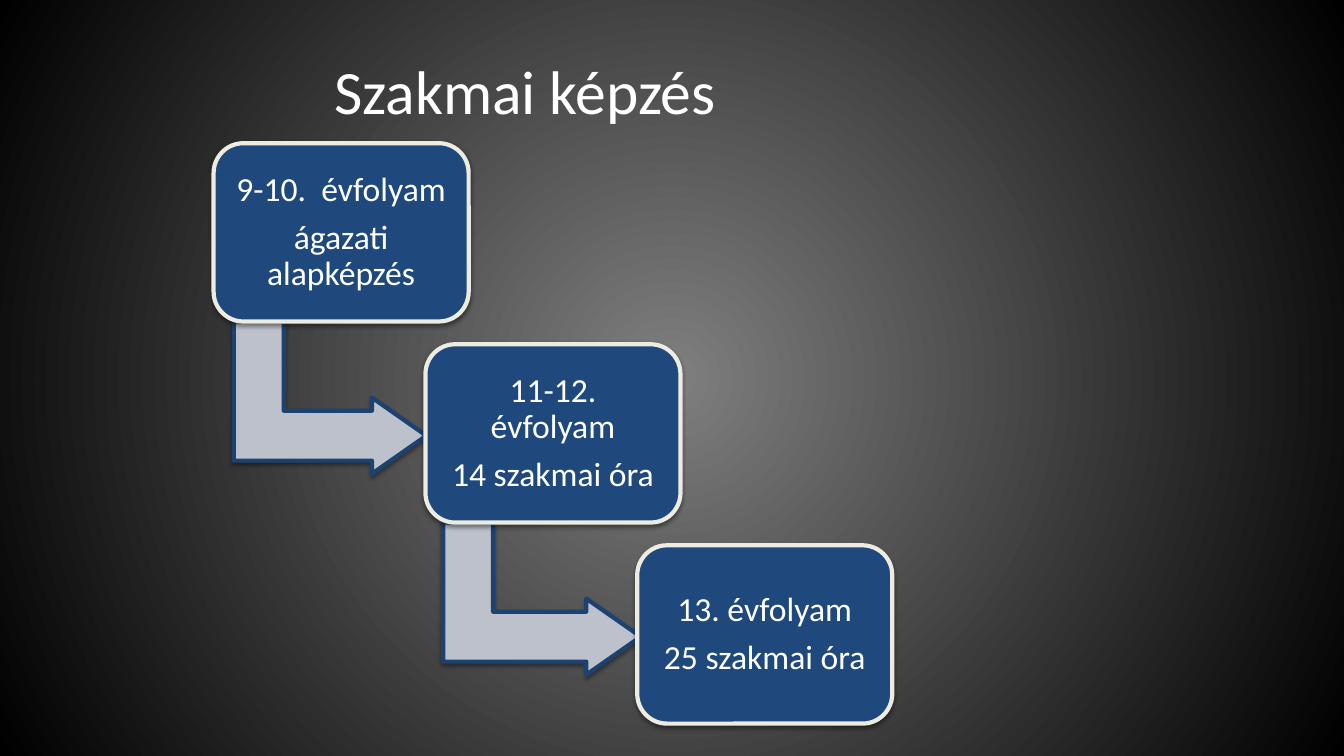
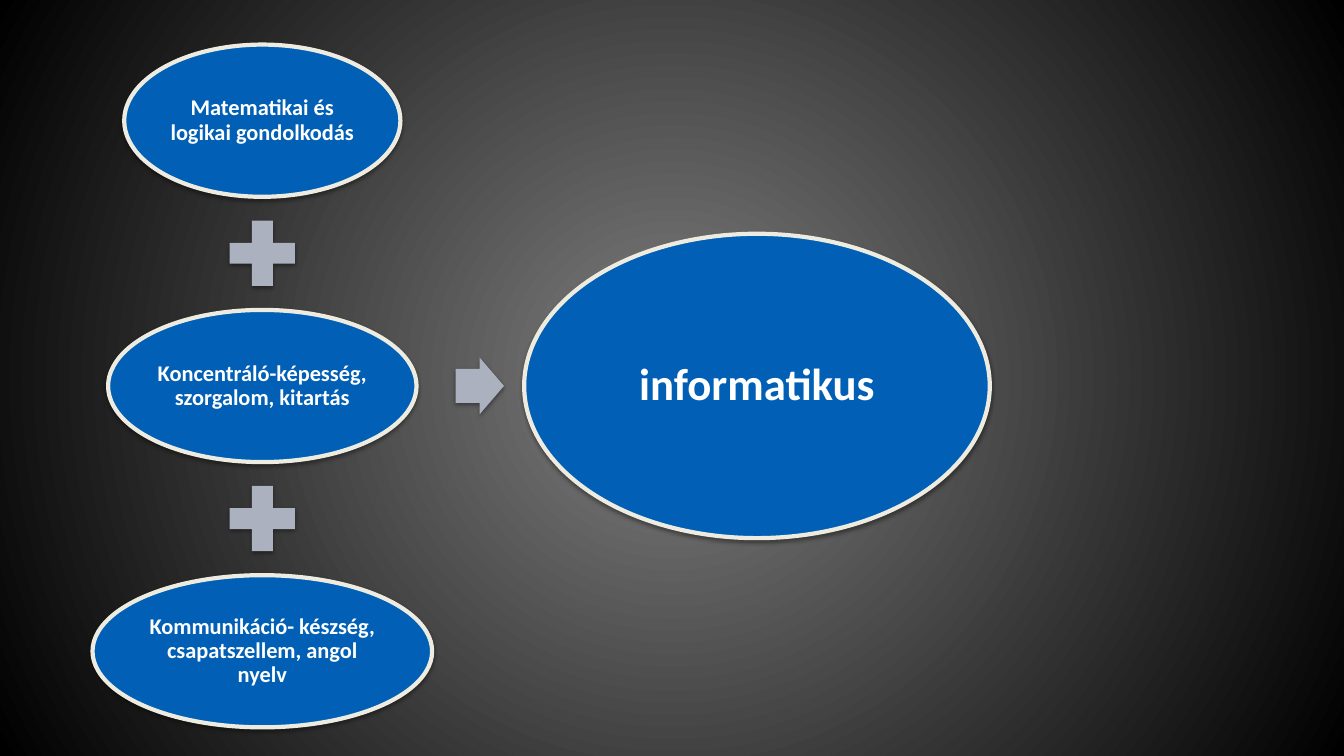
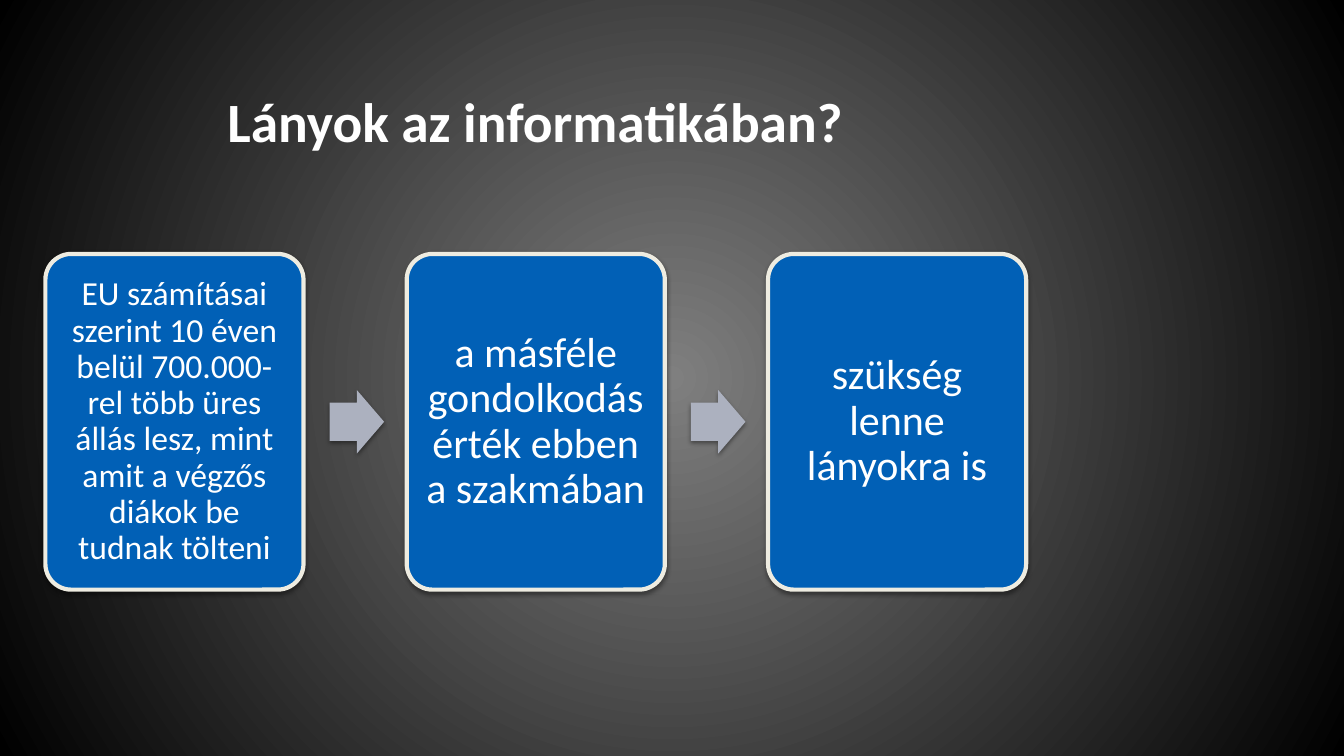
from lxml import etree
from pptx import Presentation
from pptx import util as u
from pptx.dml import color
from pptx.enum import shapes, text
from pptx.oxml import ns

FONT = "Calibri"
COLORS = {
    "glow": "7F7F7F",
    "edge": "000000",
    "white": "FFFFFF",
    "navy": "1F497D",
    "blue": "0160B6",
    "cream": "EEECE1",
    "step": "BDC1CC",
    "step_line": "1C4271",
    "sign": "ACB1BF",
}
LINE_WIDTH = 3
KIND = shapes.MSO_SHAPE


def rgb(name):
    return color.RGBColor.from_string(COLORS[name])


def add_child(parent, tag, **attributes):
    child = etree.SubElement(parent, ns.qn(tag))
    for key, value in attributes.items():
        child.set(key, str(value))
    return child


def set_radial_background(master):
    """Give every slide a gradient that darkens from the centre outwards."""
    fill = master.background.fill
    fill.gradient()
    for stop, name, position in zip(fill.gradient_stops, ("glow", "edge"), (0, 1)):
        stop.color.rgb = rgb(name)
        stop.position = position
    linear = next(master.element.iter(ns.qn("a:lin")))
    gradient = linear.getparent()
    gradient.remove(linear)
    circle = add_child(gradient, "a:path", path="circle")
    add_child(circle, "a:fillToRect", l=50000, t=50000, r=50000, b=50000)


def write(box, *lines, size, bold=False, spacing=0.9, margins=None):
    """Fill a box with centred white paragraphs."""
    frame = box.text_frame
    frame.word_wrap = True
    frame.vertical_anchor = text.MSO_ANCHOR.MIDDLE
    if margins is not None:
        frame.margin_left = frame.margin_right = u.Pt(margins)
        frame.margin_top = frame.margin_bottom = u.Pt(margins)
    for index, line in enumerate(lines):
        para = frame.add_paragraph() if index else frame.paragraphs[0]
        para.alignment = text.PP_ALIGN.CENTER
        para.line_spacing = spacing
        if index:
            para.space_before = u.Pt(0.35 * size)
        span = para.add_run()
        span.text = line
        span.font.name = FONT
        span.font.size = u.Pt(size)
        span.font.bold = bold
        span.font.color.rgb = rgb("white")


def add_title(page, line, left, top, height, **style):
    box = page.shapes.add_textbox(u.Pt(left), u.Pt(top), u.Pt(584.6), u.Pt(height))
    write(box, line, spacing=1, **style)


def add_soft_shadow(shape):
    shape.shadow.inherit = False
    effects = shape.element.spPr.find(ns.qn("a:effectLst"))
    shadow = add_child(effects, "a:outerShdw", blurRad=u.Pt(3.1), dist=u.Pt(1.6),
                       dir=5400000, rotWithShape=0)
    shade = add_child(shadow, "a:srgbClr", val=COLORS["edge"])
    add_child(shade, "a:alpha", val=38000)


def add_figure(page, kind, center_x, center_y, width, height, fill,
               line=None, adjust=(), rotation=0):
    """Add a shadowed preset shape around a centre point."""
    shape = page.shapes.add_shape(
        kind, u.Pt(center_x - width / 2), u.Pt(center_y - height / 2),
        u.Pt(width), u.Pt(height))
    for index, value in enumerate(adjust):
        shape.adjustments[index] = value
    shape.rotation = rotation
    shape.fill.solid()
    shape.fill.fore_color.rgb = rgb(fill)
    if line:
        shape.line.color.rgb = rgb(line)
        shape.line.width = u.Pt(LINE_WIDTH)
    else:
        shape.line.fill.background()
    add_soft_shadow(shape)
    return shape


def add_card(page, kind, center_x, center_y, width, height, lines,
             fill="blue", adjust=(), **style):
    card = add_figure(page, kind, center_x, center_y, width, height, fill,
                      line="cream", adjust=adjust)
    write(card, *lines, **style)


def add_right_arrow(page, center_x, center_y, width, height):
    add_figure(page, KIND.RIGHT_ARROW, center_x, center_y, width, height,
               "sign", adjust=(0.6, 0.5))


def build_training_steps(page):
    add_title(page, "Szakmai képzés", 82.8, 20.9, 87.1, size=44)
    steps = [
        (("9-10.  évfolyam", "ágazati alapképzés"), 137.5),
        (("11-12. évfolyam", "14 szakmai óra"), 141.1),
        (("13. évfolyam", "25 szakmai óra"), None),
    ]
    for index, (lines, arrow_length) in enumerate(steps):
        center_x = 243.7 + 151.3 * index
        center_y = 166 + 143.6 * index
        if arrow_length:
            add_figure(page, KIND.BENT_UP_ARROW, center_x - 7.9, center_y + 118,
                       108.7, arrow_length, "step", line="step_line",
                       adjust=(0.328, 0.25, 0.358), rotation=90)
        add_card(page, KIND.ROUNDED_RECTANGLE, center_x, center_y, 182.2, 127.4,
                 lines, fill="navy", adjust=(0.167,), size=24, margins=7.2)


def build_skill_sum(page):
    center_x, middle_y = 187.4, 275.7
    height, plus_size, gap = 108.7, 63.4, 8.7
    pitch = height + plus_size + 2 * gap
    skills = [
        ("Matematikai és logikai gondolkodás", 197.3),
        ("Koncentráló-képesség, szorgalom, kitartás", 220.3),
        ("Kommunikáció- készség, csapatszellem, angol nyelv", 242.6),
    ]
    for index, (skill, width) in enumerate(skills):
        center_y = middle_y + pitch * (index - 1)
        if index:
            add_figure(page, KIND.MATH_PLUS, center_x, center_y - pitch / 2,
                       plus_size, plus_size, "sign")
        add_card(page, KIND.OVAL, center_x, center_y, width, height, [skill],
                 size=16, bold=True, margins=1.3)
    add_right_arrow(page, 342.7, middle_y, 34.6, 40.3)
    add_card(page, KIND.OVAL, 540.7, middle_y, 332.6, 217.4, ["informatikus"],
             size=32, bold=True, margins=2.6)


def build_girls_in_it(page):
    add_title(page, "Lányok az informatikában?", 90, 60.5, 51.1, size=39.6, bold=True)
    middle_y, pitch = 301.3, 258.1
    reasons = [
        ("EU számításai szerint 10 éven belül 700.000-rel több üres állás lesz, "
         "mint amit a végzős diákok be tudnak tölteni", 24, 7.2),
        ("a másféle gondolkodás érték ebben a szakmában", 30, 8.2),
        ("szükség lenne lányokra is", 30, 8.2),
    ]
    for index, (reason, size, margins) in enumerate(reasons):
        center_x = 124.6 + pitch * index
        if index:
            add_right_arrow(page, center_x - 127.8, middle_y, 39, 45.4)
        add_card(page, KIND.ROUNDED_RECTANGLE, center_x, middle_y, 184.4, 239.8,
                 [reason], adjust=(0.1,), size=size, margins=margins)


def main():
    deck = Presentation()
    deck.slide_width, deck.slide_height = u.Pt(960), u.Pt(540)
    set_radial_background(deck.slide_master)
    for build in (build_training_steps, build_skill_sum, build_girls_in_it):
        build(deck.slides.add_slide(deck.slide_layouts[6]))
    deck.save("out.pptx")


if __name__ == "__main__":
    main()
